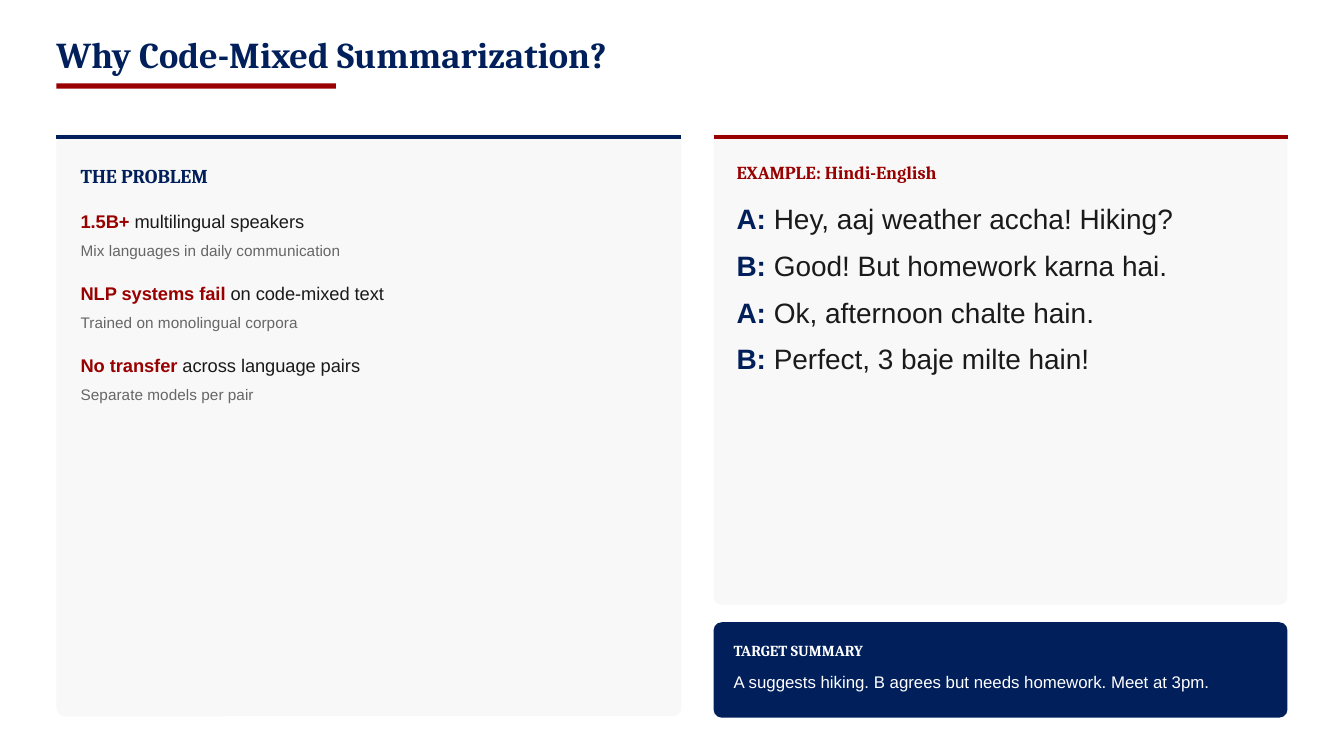
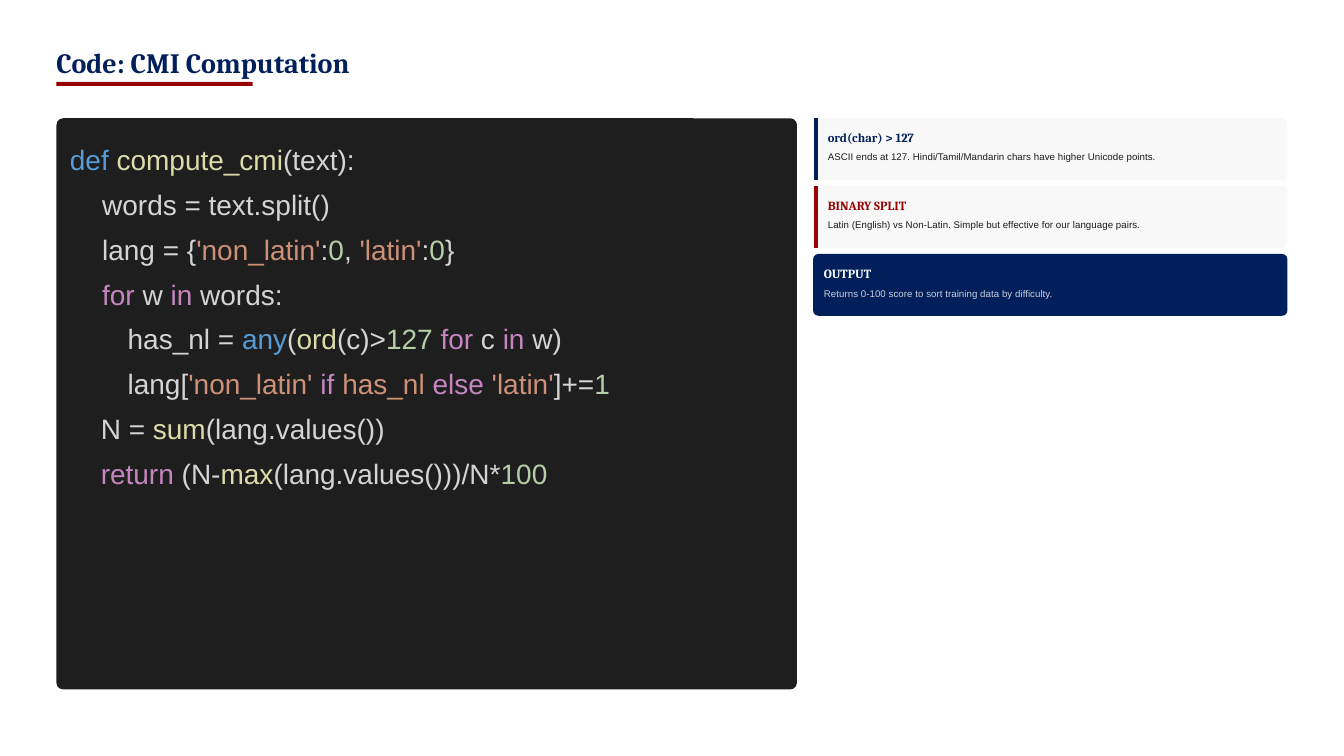
from lxml.etree import SubElement
from pptx import Presentation
from pptx.dml.color import RGBColor
from pptx.enum.shapes import MSO_CONNECTOR, MSO_SHAPE
from pptx.enum.text import MSO_ANCHOR, MSO_AUTO_SIZE, PP_ALIGN
from pptx.oxml.ns import qn
from pptx.util import Inches, Pt

# Colours and fonts
NAVY = RGBColor(0x01, 0x1F, 0x5B)
RED = RGBColor(0x99, 0x00, 0x00)
PALE = RGBColor(0xF8, 0xF8, 0xF8)
WHITE = RGBColor(0xFF, 0xFF, 0xFF)
INK = RGBColor(0x1A, 0x1A, 0x1A)
GREY = RGBColor(0x66, 0x66, 0x66)
EDITOR = RGBColor(0x1E, 0x1E, 0x1E)
PLAIN = RGBColor(0xD4, 0xD4, 0xD4)
BLUE = RGBColor(0x56, 0x9C, 0xD6)
CALL = RGBColor(0xDC, 0xDC, 0xAA)
STRING = RGBColor(0xCE, 0x91, 0x78)
NUMBER = RGBColor(0xB5, 0xCE, 0xA8)
KEYWORD = RGBColor(0xC5, 0x86, 0xC0)
HEAD_FONT, BODY_FONT = "Cambria", "Arial"

# Content
PROBLEMS = [
    ("1.5B+", " multilingual speakers", "Mix languages in daily communication"),
    ("NLP systems fail", " on code-mixed text", "Trained on monolingual corpora"),
    ("No transfer", " across language pairs", "Separate models per pair"),
]
DIALOGUE = [
    ("A:", " Hey, aaj weather accha! Hiking?"),
    ("B:", " Good! But homework karna hai."),
    ("A:", " Ok, afternoon chalte hain."),
    ("B:", " Perfect, 3 baje milte hain!"),
]
SUMMARY = "A suggests hiking. B agrees but needs homework. Meet at 3pm."

# Each code line: indent in inches, then coloured spans
CODE = [
    (0, [("def ", BLUE), ("compute_cmi", CALL), ("(text):", PLAIN)]),
    (0.24, [("words = text.split()", PLAIN)]),
    (0.24, [("lang = {", PLAIN), ("'non_latin'", STRING), (":", PLAIN),
            ("0", NUMBER), (", ", PLAIN), ("'latin'", STRING), (":", PLAIN),
            ("0", NUMBER), ("}", PLAIN)]),
    (0.24, [("for", KEYWORD), (" w ", PLAIN), ("in", KEYWORD), (" words:", PLAIN)]),
    (0.43, [("has_nl = ", PLAIN), ("any", BLUE), ("(", PLAIN), ("ord", CALL),
            ("(c)>", PLAIN), ("127 ", NUMBER), ("for", KEYWORD), (" c ", PLAIN),
            ("in", KEYWORD), (" w)", PLAIN)]),
    (0.43, [("lang[", PLAIN), ("'non_latin' ", STRING), ("if", KEYWORD),
            (" has_nl ", STRING), ("else", KEYWORD), (" 'latin'", STRING),
            ("]+=", PLAIN), ("1", NUMBER)]),
    (0.23, [("N = ", PLAIN), ("sum", CALL), ("(lang.values())", PLAIN)]),
    (0.23, [("return", KEYWORD), (" (N-", PLAIN), ("max", CALL),
            ("(lang.values()))/N*", PLAIN), ("100", NUMBER)]),
]
# Heading, note, accent (None for the solid card)
NOTES = [
    ("ord(char) > 127",
     "ASCII ends at 127. Hindi/Tamil/Mandarin chars have higher Unicode points.", NAVY),
    ("BINARY SPLIT",
     "Latin (English) vs Non-Latin. Simple but effective for our language pairs.", RED),
    ("OUTPUT", "Returns 0-100 score to sort training data by difficulty.", None),
]

# Shared grid, in inches
WIDTH, HEIGHT = 10, 5.625
LEFT, RIGHT = 0.42, 9.58


def place(item, left, top, width, height):
    item.left, item.top = Inches(left), Inches(top)
    item.width, item.height = Inches(width), Inches(height)


def prepare(box):
    """Strip margins and automatic fitting; bring the box to the front."""
    frame = box.text_frame
    frame.word_wrap = True
    frame.auto_size = MSO_AUTO_SIZE.NONE
    frame.vertical_anchor = MSO_ANCHOR.TOP
    frame.margin_left = frame.margin_right = 0
    frame.margin_top = frame.margin_bottom = 0
    box.element.getparent().append(box.element)


def write(box, spans, size, font=BODY_FONT, bold=False, leading=1.4,
          after=0, indent=0, alpha=None):
    """Add one paragraph of (text, colour[, bold]) spans."""
    frame = box.text_frame
    para = frame.paragraphs[0]
    if para.runs:
        para = frame.add_paragraph()
    para.alignment = PP_ALIGN.LEFT
    para.line_spacing = Pt(size * leading)
    para.space_before, para.space_after = Pt(0), Pt(after)
    props = para._p.get_or_add_pPr()
    props.set("marL", str(Inches(indent)))
    props.set("indent", "0")
    SubElement(props, qn("a:buNone"))
    for text, colour, *strong in spans:
        span = para.add_run()
        span.text = text
        span.font.name, span.font.size = font, Pt(size)
        span.font.bold = strong[0] if strong else bold
        span.font.color.rgb = colour
        if alpha:
            tint = span._r.find(".//" + qn("a:srgbClr"))
            SubElement(tint, qn("a:alpha")).set("val", str(alpha * 1000))


def add_text(page, at, text, colour, size, **style):
    box = page.shapes.add_textbox(*map(Inches, at))
    prepare(box)
    write(box, [(text, colour)], size, **style)


def add_heading(page, at, text, colour, size):
    add_text(page, at, text, colour, size, font=HEAD_FONT, bold=True, leading=1.2)


def add_body(page, index, at):
    box = page.placeholders[index]
    place(box, *at)
    prepare(box)
    return box


def add_block(page, at, colour, radius=0):
    kind = MSO_SHAPE.ROUNDED_RECTANGLE if radius else MSO_SHAPE.RECTANGLE
    block = page.shapes.add_shape(kind, *map(Inches, at))
    if radius:
        block.adjustments[0] = radius / min(at[2:])
    block.shadow.inherit = False
    block.fill.solid()
    block.fill.fore_color.rgb = colour
    block.line.fill.background()


def add_accent(page, start, end, colour):
    line = page.shapes.add_connector(
        MSO_CONNECTOR.STRAIGHT, *map(Inches, start + end))
    line.line.color.rgb = colour
    line.line.width = Pt(2.25)
    SubElement(line.element.spPr, qn("a:effectLst"))


def add_page(deck, layout, title, at, size, rule):
    """New slide with its title and the red rule below."""
    page = deck.slides.add_slide(deck.slide_layouts[layout])
    place(page.shapes.title, *at)
    prepare(page.shapes.title)
    write(page.shapes.title, [(title, NAVY)], size, font=HEAD_FONT,
          bold=True, leading=1)
    add_block(page, rule, RED)
    return page


def build_motivation(deck):
    page = add_page(deck, 3, "Why Code-Mixed Summarization?",
                    (LEFT, 0.29, 5.11, 0.27), 19.5, (LEFT, 0.62, 2.08, 0.04))
    top, radius, split, wide, narrow = 1, 0.06, 5.31, 4.65, 4.27

    # Top-ruled cards
    for left, width, height, colour in ((LEFT, wide, 4.33, NAVY),
                                        (split, narrow, 3.5, RED)):
        add_block(page, (left, top, width, height), PALE, radius)
        add_accent(page, (left, top + 0.02), (left + width, top + 0.02), colour)

    # Problem list
    add_heading(page, (0.6, 1.22, 4.36, 0.17), "THE PROBLEM", NAVY, 10.5)
    box = add_body(page, 1, (0.6, 1.54, 4.36, 1.47))
    for lead, rest, detail in PROBLEMS:
        write(box, [(lead, RED, True), (rest, INK)], 9.75, after=3)
        write(box, [(detail, GREY)], 8.25, after=10.4)

    # Example dialogue
    add_heading(page, (5.48, 1.2, 4.02, 0.16), "EXAMPLE: Hindi-English", RED, 9.75)
    box = add_body(page, 2, (5.48, 1.46, 4.02, 1.33))
    for speaker, words in DIALOGUE:
        write(box, [(speaker, NAVY, True), (words, INK)], 15, after=4)

    # Target summary
    add_block(page, (split, 4.63, narrow, 0.71), NAVY, radius)
    add_heading(page, (5.46, 4.77, 4.06, 0.14), "TARGET SUMMARY", WHITE, 8.25)
    add_text(page, (5.46, 4.97, 4.06, 0.17), SUMMARY, WHITE, 9)


def build_code(deck):
    page = add_page(deck, 1, "Code: CMI Computation",
                    (LEFT, 0.38, 4.69, 0.21), 15, (LEFT, 0.61, 1.46, 0.03))
    top = 0.88

    # Code panel
    add_block(page, (LEFT, top, 5.51, 4.25), EDITOR, 0.05)
    box = add_body(page, 1, (0.52, 1.02, 5.41, 2.62))
    for indent, spans in CODE:
        write(box, spans, 15, after=3, indent=indent)

    # Note cards
    left, height, pitch = 6.05, 0.46, 0.505
    for row, (heading, note, accent) in enumerate(NOTES):
        y = top + row * pitch
        add_block(page, (left, y, RIGHT - left, height), PALE if accent else NAVY, 0.04)
        if accent:
            add_accent(page, (left + 0.02, y), (left + 0.02, y + height), accent)
        x = left + (0.11 if accent else 0.08)
        width = RIGHT - 0.02 - x
        add_heading(page, (x, y + 0.09, width, 0.11), heading, accent or WHITE, 6.75)
        add_text(page, (x, y + 0.235, width, 0.1), note, INK if accent else WHITE,
                 5.25, leading=1.3 if accent else 1.4, alpha=None if accent else 80)


def main():
    deck = Presentation()
    deck.slide_width, deck.slide_height = Inches(WIDTH), Inches(HEIGHT)
    build_motivation(deck)
    build_code(deck)
    deck.save("out.pptx")


if __name__ == "__main__":
    main()
